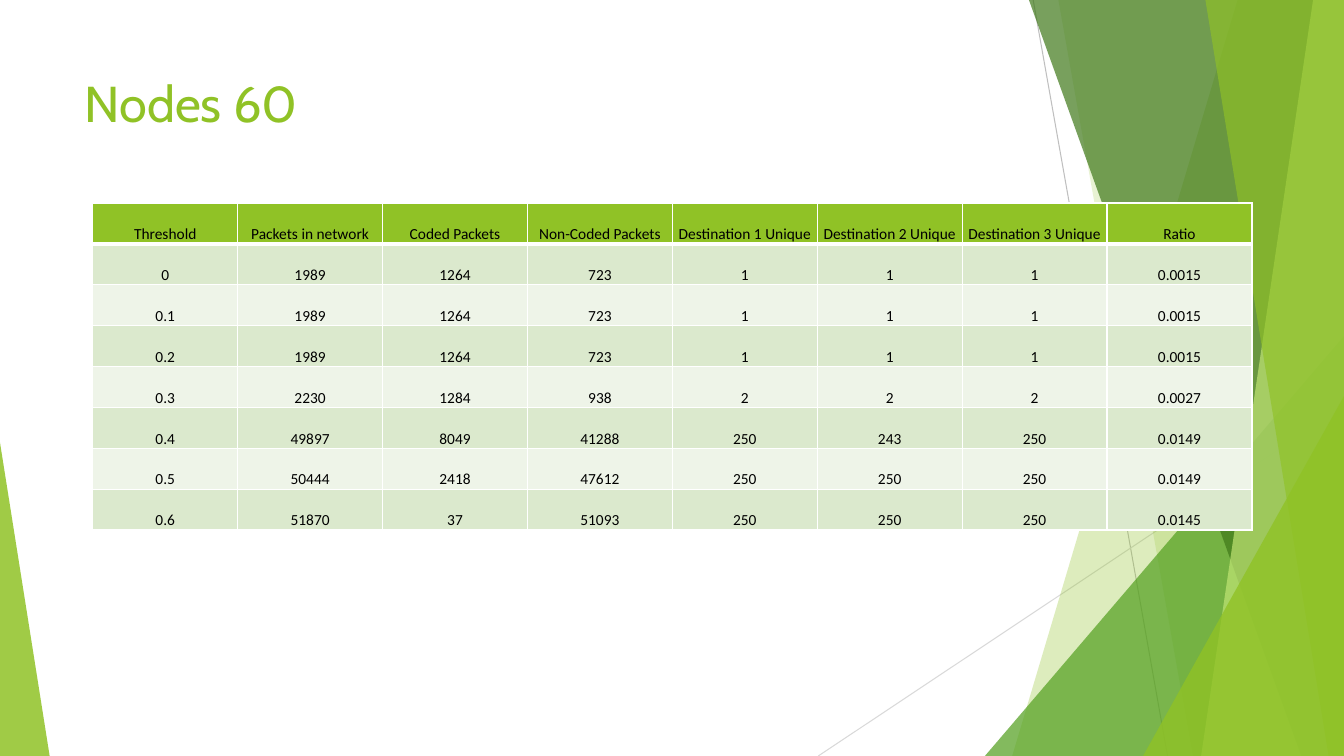
from lxml.etree import SubElement
from pptx import Presentation
from pptx.dml.color import RGBColor
from pptx.enum.shapes import MSO_CONNECTOR, MSO_SHAPE
from pptx.enum.text import MSO_ANCHOR, PP_ALIGN
from pptx.oxml.ns import qn
from pptx.util import Pt

GREEN = RGBColor(0x90, 0xC2, 0x26)
MID_GREEN = RGBColor(0x54, 0xA0, 0x21)
DARK_GREEN = RGBColor(0x3F, 0x78, 0x19)
LIGHT_GREEN = RGBColor(0xC0, 0xE4, 0x74)
BAND_DARK = RGBColor(0xDB, 0xE9, 0xCD)
BAND_LIGHT = RGBColor(0xEE, 0xF4, 0xE8)
GREY = RGBColor(0xBF, 0xBF, 0xBF)
PALE_GREY = RGBColor(0xD9, 0xD9, 0xD9)
WHITE = RGBColor(0xFF, 0xFF, 0xFF)
BLACK = RGBColor(0, 0, 0)
WIDTH, HEIGHT = 960, 540


def paint(shape, color, opacity):
    """Give the shape a see-through fill (opacity in percent) with no outline."""
    shape.shadow.inherit = False
    shape.fill.solid()
    shape.fill.fore_color.rgb = color
    shape.line.fill.background()
    fill_color = shape._element.spPr.find(qn("a:solidFill")).find(qn("a:srgbClr"))
    SubElement(fill_color, qn("a:alpha"), val=str(opacity * 1000))


def add_border(cell, side, width):
    border = SubElement(cell._tc.get_or_add_tcPr(), qn(f"a:ln{side}"), w=str(Pt(width)))
    fill = SubElement(border, qn("a:solidFill"))
    SubElement(fill, qn("a:srgbClr"), val=str(WHITE))


deck = Presentation()
deck.slide_width, deck.slide_height = Pt(WIDTH), Pt(HEIGHT)
page = deck.slides.add_slide(deck.slide_layouts[5])

# Background facets
for x1, y1, x2, y2, color in [
    (738, 0, 834, HEIGHT, GREY),
    (WIDTH, 290, 584.5, HEIGHT, PALE_GREY),
]:
    line = page.shapes.add_connector(
        MSO_CONNECTOR.STRAIGHT, Pt(x1), Pt(y1), Pt(x2), Pt(y2))
    line.line.color.rgb = color
    line.line.width = Pt(0.75)
    SubElement(line._element.spPr, qn("a:effectLst"))

# Slanted bands run to the right edge: top x, bottom x, colour, opacity.
# Triangles: left, top, width, apex position, colour, opacity.
for facet in [
    (884, 723, GREEN, 30),
    (756, 852, GREEN, 20),
    (703.5, 240, 256.5, 1, MID_GREEN, 72),
    (735, 929.5, DARK_GREEN, 70),
    (938, 858, LIGHT_GREEN, 70),
    (861, 949, GREEN, 65),
    (816.5, 283, 143.5, 1, GREEN, 80),
    (0, 316, 35.5, 0, GREEN, 85),
]:
    *geometry, color, opacity = facet
    if len(geometry) == 2:
        top_x, bottom_x = geometry
        outline = page.shapes.build_freeform(Pt(top_x), 0)
        outline.add_line_segments([
            (Pt(WIDTH), 0), (Pt(WIDTH), Pt(HEIGHT)), (Pt(bottom_x), Pt(HEIGHT))])
        shape = outline.convert_to_shape()
    else:
        left, top, width, apex = geometry
        shape = page.shapes.add_shape(
            MSO_SHAPE.ISOSCELES_TRIANGLE, Pt(left), Pt(top), Pt(width), Pt(HEIGHT - top))
        shape.adjustments[0] = apex
    paint(shape, color, opacity)

# Title
title = page.shapes.title
title.left, title.top, title.width, title.height = Pt(53.3), Pt(48), Pt(677), Pt(104)
title.text_frame.text = "Nodes 60"
title.text_frame.vertical_anchor = MSO_ANCHOR.TOP
heading = title.text_frame.paragraphs[0]
heading.alignment = PP_ALIGN.LEFT
heading.font.name = "Cabin"
heading.font.size = Pt(36)
heading.font.color.rgb = GREEN

# Results table
results = [
    ["Threshold", "Packets in network", "Coded Packets", "Non-Coded Packets",
     "Destination 1 Unique", "Destination 2 Unique", "Destination 3 Unique", "Ratio"],
    ["0", "1989", "1264", "723", "1", "1", "1", "0.0015"],
    ["0.1", "1989", "1264", "723", "1", "1", "1", "0.0015"],
    ["0.2", "1989", "1264", "723", "1", "1", "1", "0.0015"],
    ["0.3", "2230", "1284", "938", "2", "2", "2", "0.0027"],
    ["0.4", "49897", "8049", "41288", "250", "243", "250", "0.0149"],
    ["0.5", "50444", "2418", "47612", "250", "250", "250", "0.0149"],
    ["0.6", "51870", "37", "51093", "250", "250", "250", "0.0145"],
]
cell_format = {
    "vertical_anchor": MSO_ANCHOR.BOTTOM,
    "margin_left": Pt(0.75), "margin_right": Pt(0.75),
    "margin_top": Pt(0.75), "margin_bottom": 0,
}
font_format = {"name": "Calibri", "size": Pt(11), "bold": False}
table = page.shapes.add_table(
    len(results), len(results[0]), Pt(66.3), Pt(145), Pt(828), Pt(233.6)).table
for row_index, values in enumerate(results):
    if row_index == 0:
        row_fill = GREEN
    else:
        row_fill = BAND_DARK if row_index % 2 else BAND_LIGHT
    for column_index, value in enumerate(values):
        cell = table.cell(row_index, column_index)
        cell.text = value
        for name, setting in cell_format.items():
            setattr(cell, name, setting)
        add_border(cell, "L", 1)
        add_border(cell, "R", 1)
        add_border(cell, "T", 3 if row_index == 1 else 1)
        add_border(cell, "B", 3 if row_index == 0 else 1)
        cell.fill.solid()
        cell.fill.fore_color.rgb = row_fill
        paragraph = cell.text_frame.paragraphs[0]
        paragraph.alignment = PP_ALIGN.CENTER
        span = paragraph.runs[0]
        for name, setting in font_format.items():
            setattr(span.font, name, setting)
        span.font.color.rgb = BLACK

deck.save("out.pptx")
